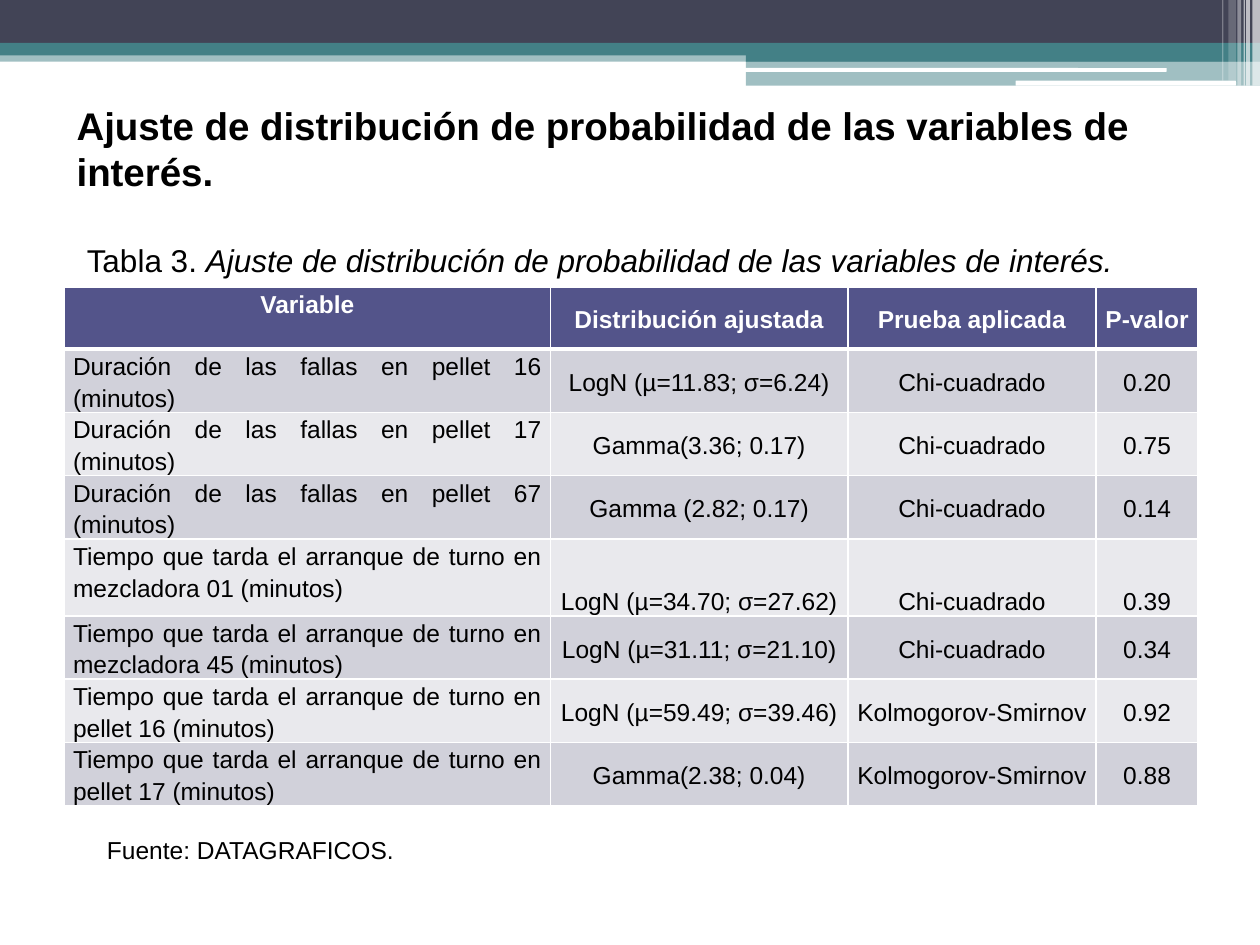
from lxml import etree
from pptx import Presentation
from pptx.dml.color import RGBColor
from pptx.enum import shapes, text
from pptx.oxml import ns
from pptx.util import Inches, Pt

WHITE = RGBColor(0xFF, 0xFF, 0xFF)
BLACK = RGBColor(0, 0, 0)
SLATE = RGBColor(0x42, 0x44, 0x56)
TEAL = RGBColor(0x43, 0x80, 0x86)
INDIGO = RGBColor(0x53, 0x54, 0x8A)
DARK_BAND = RGBColor(0xD1, 0xD1, 0xDA)
LIGHT_BAND = RGBColor(0xE9, 0xE9, 0xED)
RECT = shapes.MSO_SHAPE.RECTANGLE
ROUNDED = shapes.MSO_SHAPE.ROUNDED_RECTANGLE

prs = Presentation()
prs.slide_width, prs.slide_height = Inches(10), Inches(7.5)
slide = prs.slides.add_slide(prs.slide_layouts[6])

for preset, left, top, width, height, color, opacity in [
    (RECT, 0, 0.4, 10, 0.09, TEAL, 50),
    (RECT, 0, 0, 10, 0.34, SLATE, 100),
    (RECT, 0, 0.34, 10, 0.1, TEAL, 100),
    (RECT, 5.92, 0.39, 4.08, 0.1, TEAL, 100),
    (RECT, 5.92, 0.48, 4.08, 0.2, TEAL, 50),
    (ROUNDED, 5.91, 0.54, 3.35, 0.03, WHITE, 100),
    (ROUNDED, 8.06, 0.64, 1.75, 0.04, WHITE, 100),
    (RECT, 9.94, 0, 0.06, 0.68, WHITE, 65),
    (RECT, 9.89, 0, 0.03, 0.68, WHITE, 65),
    (RECT, 9.87, 0, 0.01, 0.68, WHITE, 60),
    (RECT, 9.82, 0, 0.03, 0.68, WHITE, 40),
    (RECT, 9.75, 0, 0.06, 0.64, WHITE, 20),
    (RECT, 9.7, 0, 0.01, 0.64, WHITE, 30),
]:
    band = slide.shapes.add_shape(preset, Inches(left), Inches(top), Inches(width), Inches(height))
    band.shadow.inherit = False
    band.line.fill.background()
    band.fill.solid()
    band.fill.fore_color.rgb = color
    if opacity < 100:
        tint = band.fill._xPr.find(".//" + ns.qn("a:srgbClr"))
        etree.SubElement(tint, ns.qn("a:alpha"), val=str(opacity * 1000))

rows = [
    ("Variable", "Distribución ajustada", "Prueba aplicada", "P-valor"),
    ("Duración de las fallas en pellet 16 (minutos)", "LogN (µ=11.83; σ=6.24)", "Chi-cuadrado", "0.20"),
    ("Duración de las fallas en pellet 17 (minutos)", "Gamma(3.36; 0.17)", "Chi-cuadrado", "0.75"),
    ("Duración de las fallas en pellet 67 (minutos)", "Gamma (2.82; 0.17)", "Chi-cuadrado", "0.14"),
    ("Tiempo que tarda el arranque de turno en mezcladora 01 (minutos)",
     "LogN (µ=34.70; σ=27.62)", "Chi-cuadrado", "0.39"),
    ("Tiempo que tarda el arranque de turno en mezcladora 45 (minutos)",
     "LogN (µ=31.11; σ=21.10)", "Chi-cuadrado", "0.34"),
    ("Tiempo que tarda el arranque de turno en pellet 16 (minutos)",
     "LogN (µ=59.49; σ=39.46)", "Kolmogorov-Smirnov", "0.92"),
    ("Tiempo que tarda el arranque de turno en pellet 17 (minutos)",
     "Gamma(2.38; 0.04)", "Kolmogorov-Smirnov", "0.88"),
]
widths = [3.86, 2.36, 1.97, 0.81]
heights = [0.49, 0.5, 0.5, 0.5, 0.61, 0.5, 0.5, 0.5]
BOTTOM_ROW = 4

fits = slide.shapes.add_table(len(rows), len(widths), Inches(0.51), Inches(2.28),
                              Inches(sum(widths)), Inches(sum(heights))).table
for column, width in zip(fits.columns, widths):
    column.width = Inches(width)
for row, height in zip(fits.rows, heights):
    row.height = Inches(height)

for r, values in enumerate(rows):
    for c, value in enumerate(values):
        cell = fits.cell(r, c)
        cell.margin_left = cell.margin_right = Inches(0.07)
        cell.margin_top = cell.margin_bottom = 0
        if c == 0:
            cell.vertical_anchor = text.MSO_ANCHOR.TOP
        elif r == BOTTOM_ROW:
            cell.vertical_anchor = text.MSO_ANCHOR.BOTTOM
        else:
            cell.vertical_anchor = text.MSO_ANCHOR.MIDDLE
        props = cell._tc.get_or_add_tcPr()
        for side in ("lnL", "lnR", "lnT", "lnB"):
            thick = (r == 0 and side == "lnB") or (r == 1 and side == "lnT")
            border = etree.SubElement(props, ns.qn("a:" + side), w=str(Pt(3 if thick else 1)))
            paint = etree.SubElement(border, ns.qn("a:solidFill"))
            etree.SubElement(paint, ns.qn("a:srgbClr"), val=str(WHITE))
        cell.fill.solid()
        cell.fill.fore_color.rgb = INDIGO if r == 0 else DARK_BAND if r % 2 else LIGHT_BAND
        cell.text_frame.text = value
        entry = cell.text_frame.paragraphs[0]
        entry.alignment = text.PP_ALIGN.JUSTIFY if r and c == 0 else text.PP_ALIGN.CENTER
        entry.line_spacing = 1.15
        entry.space_after = Pt(10)
        font = entry.runs[0].font
        font.name, font.size, font.bold = "Arial", Pt(14), r == 0
        font.color.rgb = WHITE if r == 0 else BLACK

topic = "Ajuste de distribución de probabilidad de las variables de interés."
for left, top, width, height, size, parts in [
    (0.51, 0.76, 9.06, 0.84, 22, [(topic, True, False)]),
    (0.75, 6.58, 4.02, 0.64, 14, [("Fuente: DATAGRAFICOS.", False, False)]),
    (0.59, 1.86, 8.82, 0.71, 18, [("Tabla 3. ", False, False), (topic, False, True)]),
]:
    box = slide.shapes.add_textbox(Inches(left), Inches(top), Inches(width), Inches(height))
    box.text_frame.word_wrap = True
    for words, bold, italic in parts:
        run = box.text_frame.paragraphs[0].add_run()
        run.text = words
        run.font.name, run.font.size = "Arial", Pt(size)
        run.font.bold, run.font.italic = bold, italic
        run.font.color.rgb = BLACK

prs.save("out.pptx")
